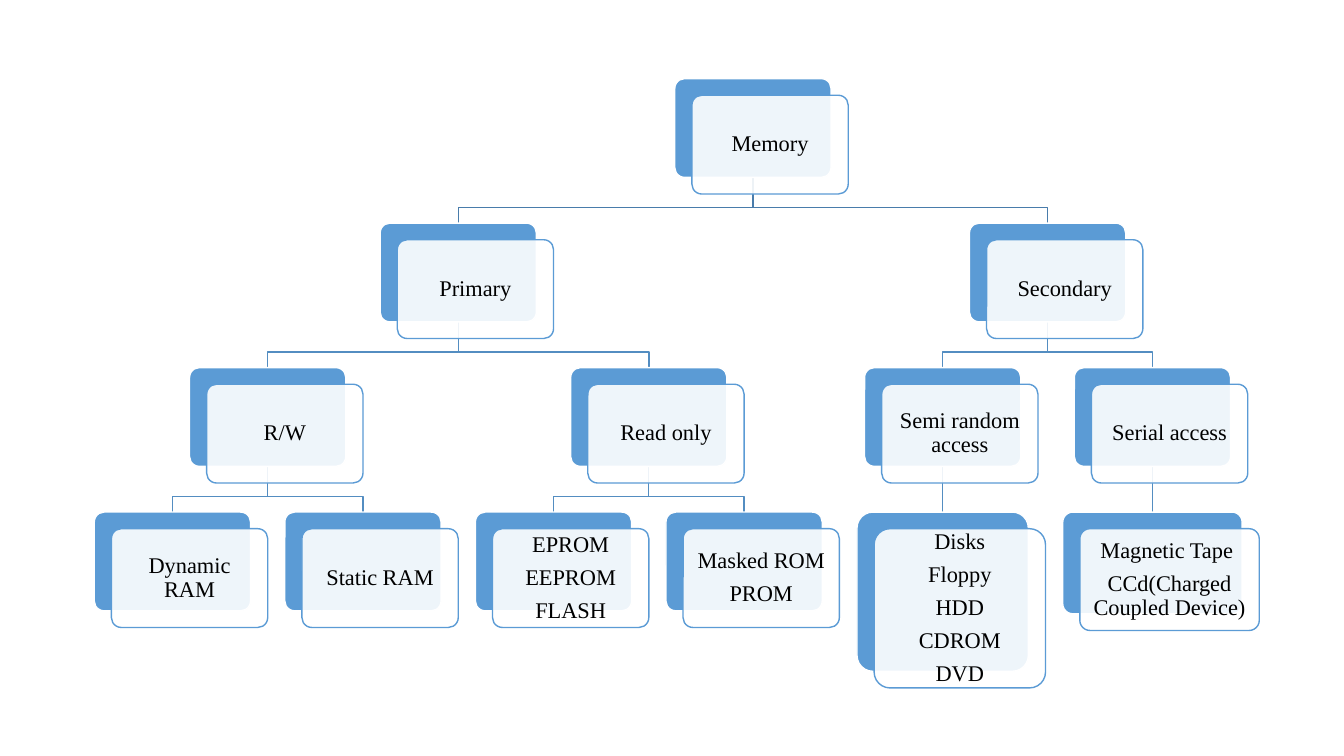
"""Draw the memory family tree as layered cards joined by elbow lines."""
from lxml.etree import SubElement
from pptx import Presentation
from pptx.dml.color import RGBColor
from pptx.enum.shapes import MSO_CONNECTOR, MSO_SHAPE
from pptx.enum.text import MSO_ANCHOR, PP_ALIGN
from pptx.oxml.ns import qn
from pptx.util import Inches, Pt

THEME = {
    "card": RGBColor(0x5B, 0x9B, 0xD5),
    "white": RGBColor(255, 255, 255),
    "ink": RGBColor(0, 0, 0),
    "stem": RGBColor(0x49, 0x7C, 0xAB),
    "twig": RGBColor(0x53, 0x8D, 0xC1),
    "alpha": "90000",
    "font": "Times New Roman",
    "size": Pt(16),
    "line": Pt(1),
}
TOP, LAST, STEPS = 0.78, 5.08, 3
PITCH = (LAST - TOP) / STEPS
LEFT, COL = 1.71, 1.89
WIDE, HIGH = 1.55, 0.98
SHIFT_X, SHIFT_Y = 0.17, 0.165
DROP, PAD = 0.3, 0.07

LEAVES = [
    ("Dynamic RAM", LEFT, WIDE, HIGH),
    ("Static RAM", LEFT + COL, WIDE, HIGH),
    ("EPROM\nEEPROM\nFLASH", LEFT + 2 * COL, WIDE, HIGH),
    ("Masked ROM\nPROM", LEFT + 3 * COL, WIDE, HIGH),
    ("Disks\nFloppy\nHDD\nCDROM\nDVD", 9.35, 1.7, 1.58),
    ("Magnetic Tape \nCCd(Charged Coupled Device)", 11.43, 1.78, 1.01),
]
NAMES = [leaf[0] for leaf in LEAVES]
FORKS = [
    ("R/W", 2, NAMES[:2]),
    ("Read only", 2, NAMES[2:4]),
    ("Semi random access", 2, NAMES[4:5]),
    ("Serial access", 2, NAMES[5:]),
    ("Primary", 1, ["R/W", "Read only"]),
    ("Secondary", 1, ["Semi random access", "Serial access"]),
    ("Memory", 0, ["Primary", "Secondary"]),
]
TEXT = {"alignment": PP_ALIGN.CENTER, "line_spacing": 0.9, "space_after": Pt(6.4)}
FONT = {"name": THEME["font"], "size": THEME["size"]}
FRAME = {"word_wrap": True, "vertical_anchor": MSO_ANCHOR.MIDDLE}
FRAME |= {f"margin_{side}": Inches(PAD) for side in ("left", "right", "top", "bottom")}


def style(item, values):
    """Set each named value on the item."""
    for name, value in values.items():
        setattr(item, name, value)


def plate(x, y, w, h, fill, edge):
    """Add one rounded plate."""
    box = shapes.add_shape(MSO_SHAPE.ROUNDED_RECTANGLE, *map(Inches, (x, y, w, h)))
    box.adjustments[0] = 0.1
    box.shadow.inherit = False
    box.fill.solid()
    box.fill.fore_color.rgb = fill
    box.line.color.rgb = edge
    box.line.width = THEME["line"]
    return box


deck = Presentation()
style(deck, {"slide_width": Inches(13.33), "slide_height": Inches(7.5)})
shapes = deck.slides.add_slide(deck.slide_layouts[6]).shapes

nodes = {name: (x, STEPS, w, h) for name, x, w, h in LEAVES}
for name, level, kids in FORKS:
    mid = sum(nodes[kid][0] for kid in kids) / len(kids)
    nodes[name] = (mid, level, WIDE, HIGH)

for name, level, kids in FORKS:
    x = nodes[name][0]
    start = TOP + level * PITCH + HIGH
    end = TOP + (level + 1) * PITCH
    for kid in kids:
        goal = nodes[kid][0]
        if len(kids) == 1:
            ends = map(Inches, (x, start, goal, end))
            link = shapes.add_connector(MSO_CONNECTOR.STRAIGHT, *ends)
        else:
            bend = start + DROP
            pen = shapes.build_freeform(Inches(x), Inches(start))
            turns = [(x, bend), (goal, bend), (goal, end)]
            pen.add_line_segments([(Inches(a), Inches(b)) for a, b in turns], close=False)
            link = pen.convert_to_shape()
            link.fill.background()
        link.line.color.rgb = THEME["twig" if level else "stem"]
        link.line.width = THEME["line"]
        SubElement(link._element.spPr, qn("a:effectLst"))

for name, (mid, level, w, h) in nodes.items():
    x, y = mid - w / 2, TOP + level * PITCH
    plate(x, y, w, h, THEME["card"], THEME["white"])
    front = plate(x + SHIFT_X, y + SHIFT_Y, w, h, THEME["white"], THEME["card"])
    tint = front._element.spPr.find(qn("a:solidFill"))[0]
    SubElement(tint, qn("a:alpha"), val=THEME["alpha"])
    frame = front.text_frame
    style(frame, FRAME)
    frame.text = name
    for para in frame.paragraphs:
        style(para, TEXT)
        style(para.runs[0].font, FONT)
        para.runs[0].font.color.rgb = THEME["ink"]

deck.save("out.pptx")
